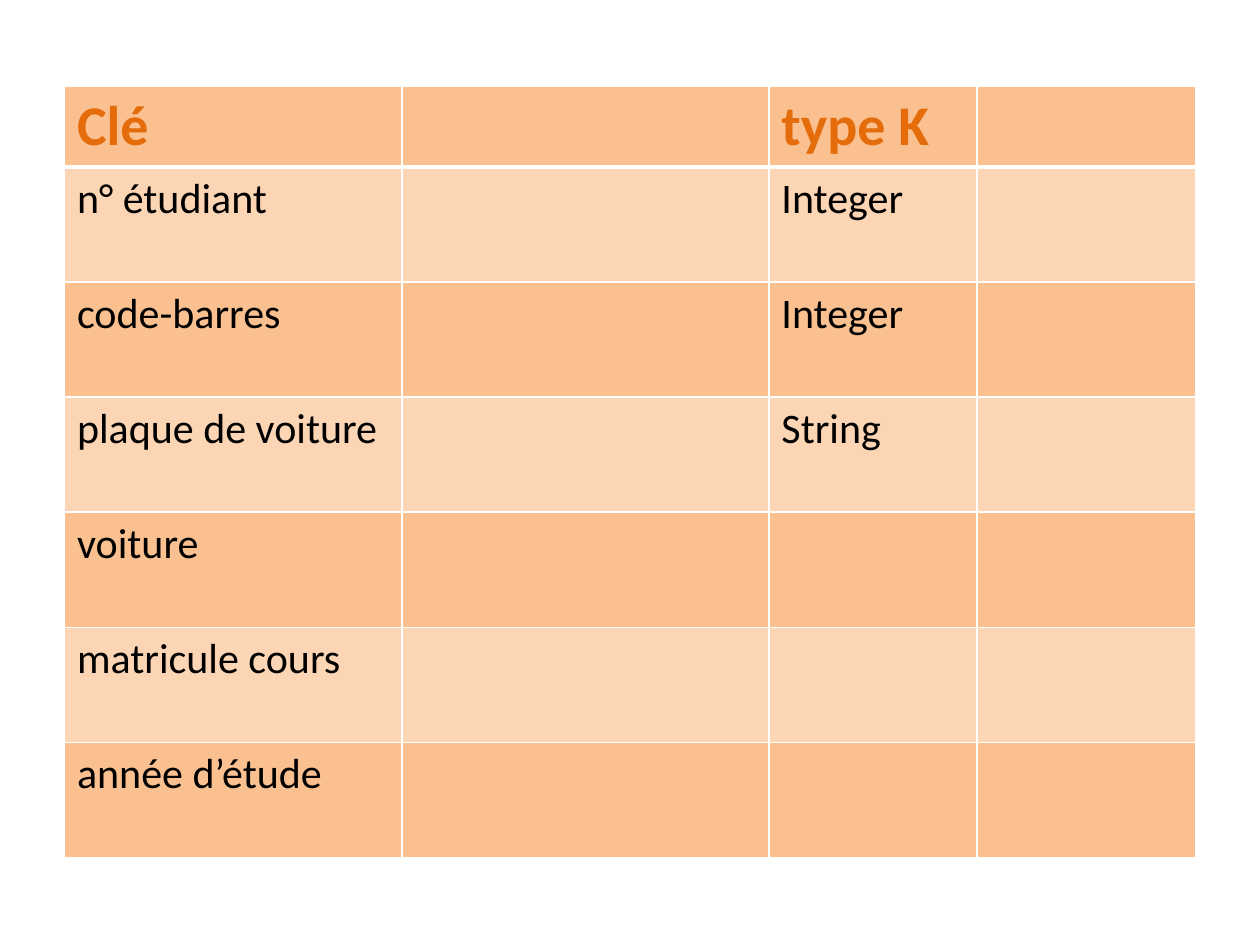
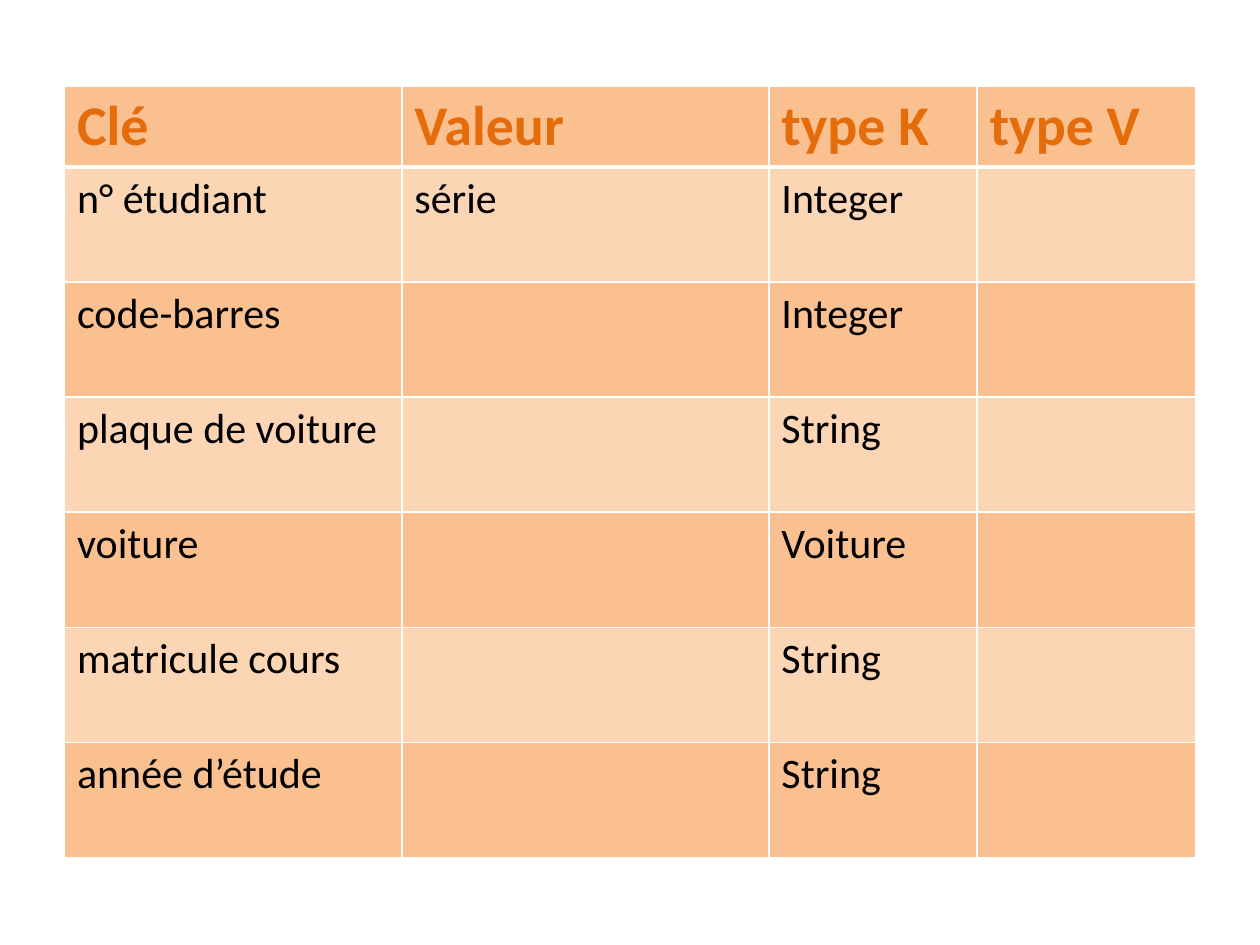
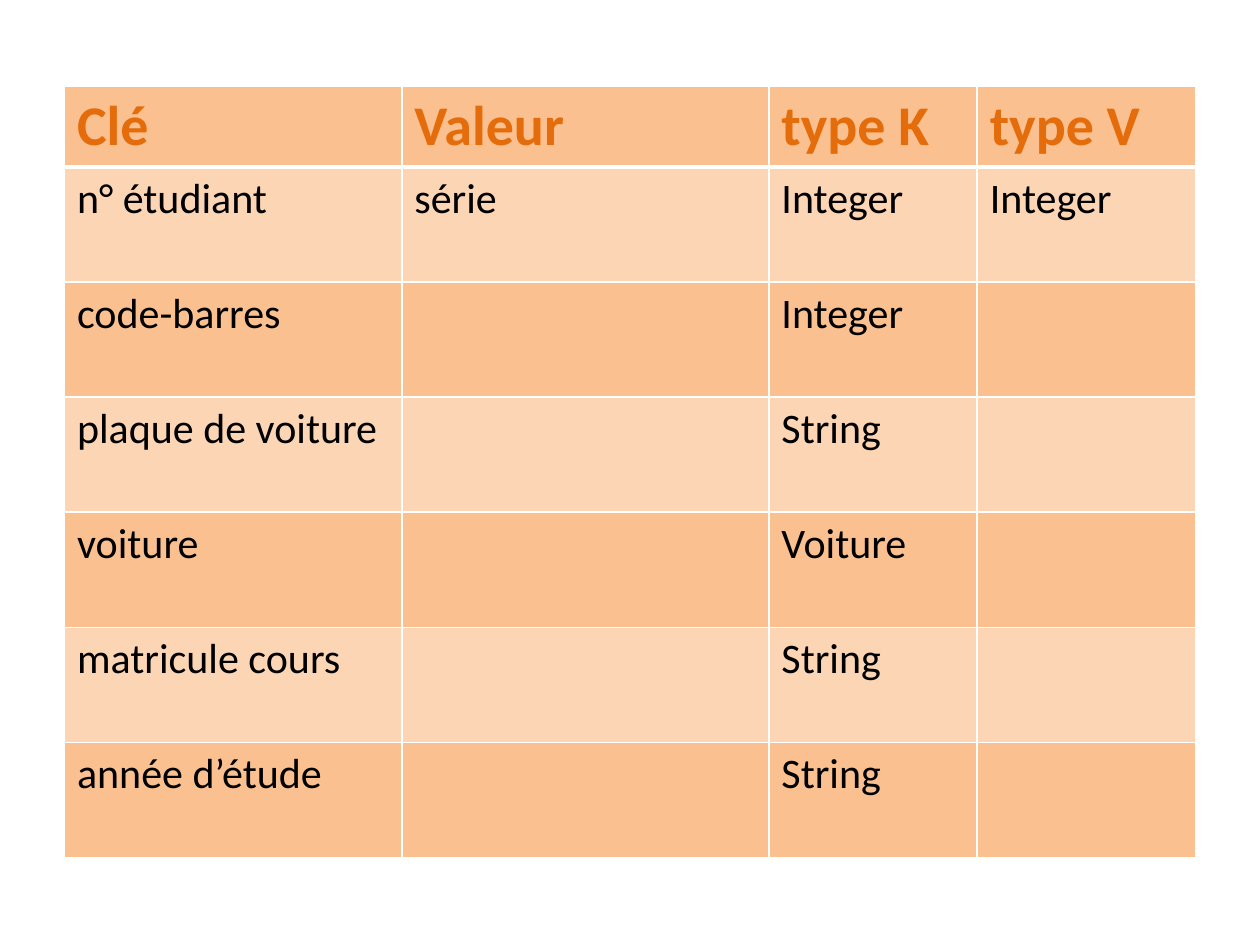
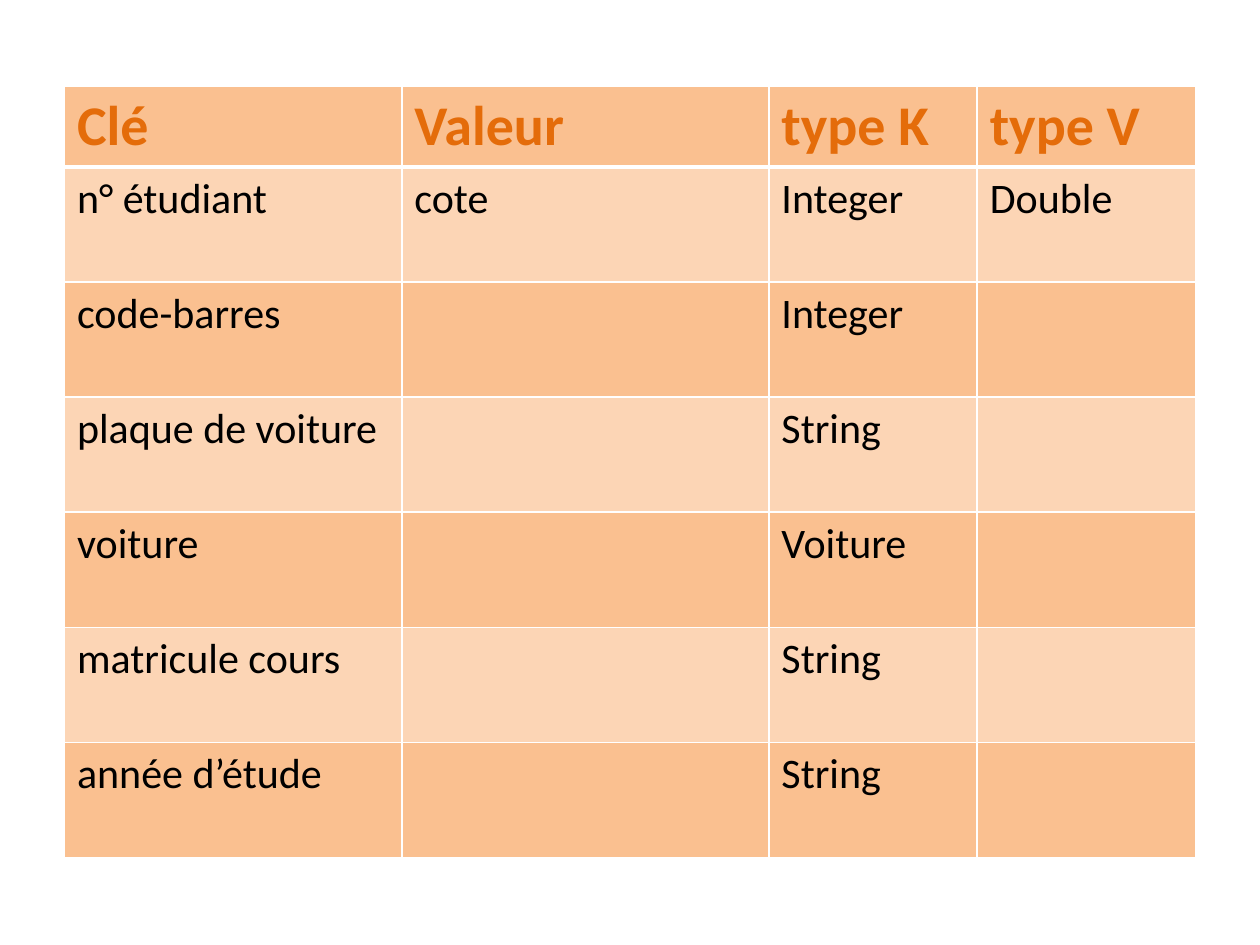
"""Build four slides that fill in a table of keys, values and types."""
from lxml import etree
from pptx import Presentation
from pptx.dml.color import RGBColor
from pptx.oxml.ns import qn
from pptx.util import Cm, Pt

FONT = "Calibri"
HUES = {
    "dark": "FAC090",
    "light": "FCD5B5",
    "head": "E46C0A",
    "text": "000000",
    "line": "FFFFFF",
}
BLANK = 6
LEFT, TOP = 1.3, 1.73
COLS = (6.8, 7.4, 4.2, 4.4)
HEAD_H, ROW_H = 1.63, 2.32
KEYS = ("n° étudiant", "code-barres", "plaque de voiture",
        "voiture", "matricule cours", "année d’étude")
TYPES = ("Integer", "Integer", "String", "Voiture", "String", "String")
FULL = ("Clé", "Valeur", "type K", "type V")
STEPS = (
    (("Clé", "", "type K", ""), TYPES[:3], "", ""),
    (FULL, TYPES, "série", ""),
    (FULL, TYPES, "série", "Integer"),
    (FULL, TYPES, "cote", "Double"),
)


def get_rows(head, types, value, kind):
    """Return the rows of one table, with value and kind in the first body row."""
    rows = [list(head)]
    for i, key in enumerate(KEYS):
        rows.append([key, "", types[i] if i < len(types) else "", ""])
    rows[1][1], rows[1][3] = value, kind
    return rows


def add_edges(cell, row):
    """Draw the cell borders, thicker between the header and the body."""
    props = cell._tc.get_or_add_tcPr()
    sizes = {"L": 1, "R": 1, "T": 3 if row == 1 else 1, "B": 3 if row == 0 else 1}
    for side, size in sizes.items():
        line = etree.SubElement(props, qn("a:ln" + side), w=str(Pt(size)))
        fill = etree.SubElement(line, qn("a:solidFill"))
        etree.SubElement(fill, qn("a:srgbClr"), val=HUES["line"])


def fill_cell(cell, text, row):
    """Write and format one cell."""
    add_edges(cell, row)
    cell.fill.solid()
    cell.fill.fore_color.rgb = RGBColor.from_string(HUES["light" if row % 2 else "dark"])
    cell.text = text
    font = cell.text_frame.paragraphs[0].font
    font.name = FONT
    font.size = Pt(24 if row else 32)
    font.bold = row == 0
    font.color.rgb = RGBColor.from_string(HUES["text" if row else "head"])


def add_grid(slide, rows):
    """Add the table to a slide."""
    high = HEAD_H + ROW_H * (len(rows) - 1)
    grid = slide.shapes.add_table(len(rows), len(COLS), Cm(LEFT), Cm(TOP),
                                  Cm(sum(COLS)), Cm(high)).table
    for col, width in zip(grid.columns, COLS):
        col.width = Cm(width)
    for r, texts in enumerate(rows):
        grid.rows[r].height = Cm(ROW_H if r else HEAD_H)
        for c, text in enumerate(texts):
            fill_cell(grid.cell(r, c), text, r)


def main():
    """Build and save the deck."""
    deck = Presentation()
    deck.slide_width, deck.slide_height = Cm(25.4), Cm(19.05)
    for step in STEPS:
        slide = deck.slides.add_slide(deck.slide_layouts[BLANK])
        add_grid(slide, get_rows(*step))
    deck.save("out.pptx")


if __name__ == "__main__":
    main()
